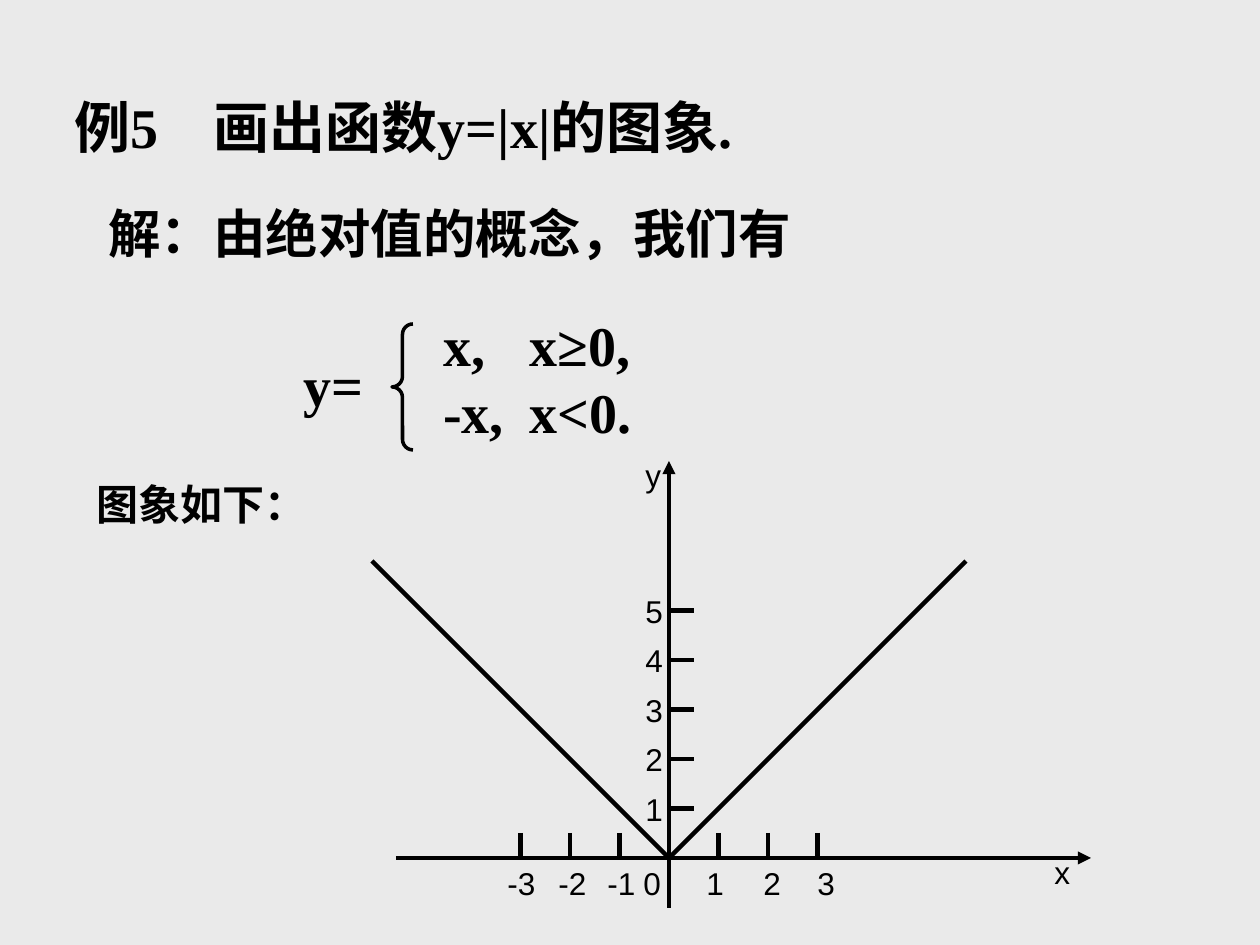
import dataclasses

import lxml.etree
import pptx
import pptx.dml.color
import pptx.enum.shapes
import pptx.enum.text
import pptx.oxml.ns
import pptx.util

PX = 914400 / 126
ORIGIN_X, ORIGIN_Y = 669, 858
ARM = 297
UNIT = ARM / 6
TICK = 25
LABEL_HEIGHT = 50
NUMBER_LEFTS = {-3: 495, -2: 546, -1: 595, 0: 631, 1: 694, 2: 751, 3: 805}


@dataclasses.dataclass(frozen=True)
class Theme:
    background: str = "EAEAEA"
    ink: str = "000000"
    serif: str = "Times New Roman"
    sans: str = "Arial"
    formula_size: int = 32
    solution_size: int = 30
    caption_size: int = 24
    label_size: int = 18
    brace_weight: int = 2
    axis_weight: float = 2.5


THEME = Theme()
ALIGN = pptx.enum.text.PP_ALIGN


def px(length):
    return pptx.util.Emu(round(length * PX))


def color(value):
    return pptx.dml.color.RGBColor.from_string(value)


def apply(target, values):
    for name, value in values.items():
        setattr(target, name, value)


def add_tab(paragraph, position):
    stops = lxml.etree.SubElement(
        paragraph._p.get_or_add_pPr(), pptx.oxml.ns.qn("a:tabLst"))
    lxml.etree.SubElement(
        stops, pptx.oxml.ns.qn("a:tab"), pos=str(px(position)), algn="l")


def write(shape, box, lines, size, font=THEME.serif, bold=True,
          align=ALIGN.LEFT, tab=None):
    apply(shape, dict(zip(("left", "top", "width", "height"), map(px, box))))
    frame = shape.text_frame
    apply(frame, {
        "word_wrap": tab is not None,
        "auto_size": pptx.enum.text.MSO_AUTO_SIZE.NONE,
        "vertical_anchor": pptx.enum.text.MSO_ANCHOR.TOP,
    })
    for index, line in enumerate(lines):
        paragraph = frame.add_paragraph() if index else frame.paragraphs[0]
        paragraph.alignment = align
        if tab is not None:
            add_tab(paragraph, tab)
        run = paragraph.add_run()
        run.text = line
        apply(run.font, {"name": font, "size": pptx.util.Pt(size), "bold": bold})
        run.font.color.rgb = color(THEME.ink)


def add_text(slide, box, lines, size, **format_values):
    shape = slide.shapes.add_textbox(*map(px, box))
    write(shape, box, lines, size, **format_values)


def add_label(slide, left, top, text):
    width = 53 if len(text) > 1 else 43
    add_text(slide, (left, top, width, LABEL_HEIGHT), [text],
             THEME.label_size, font=THEME.sans, bold=False)


def add_line(slide, start, end, arrow=False):
    connector = slide.shapes.add_connector(
        pptx.enum.shapes.MSO_CONNECTOR.STRAIGHT, *map(px, start + end))
    connector.line.color.rgb = color(THEME.ink)
    connector.line.width = pptx.util.Pt(THEME.axis_weight)
    if arrow:
        lxml.etree.SubElement(connector.line._get_or_add_ln(),
                              pptx.oxml.ns.qn("a:tailEnd"), type="triangle")
    lxml.etree.SubElement(connector._element.spPr,
                          pptx.oxml.ns.qn("a:effectLst"))


def add_brace(slide, box):
    brace = slide.shapes.add_shape(
        pptx.enum.shapes.MSO_SHAPE.LEFT_BRACE, *map(px, box))
    brace.adjustments[0] = 0.5
    brace.shadow.inherit = False
    brace.fill.background()
    brace.line.color.rgb = color(THEME.ink)
    brace.line.width = pptx.util.Pt(THEME.brace_weight)


def add_graph(slide):
    for number, left in NUMBER_LEFTS.items():
        if number:
            x = ORIGIN_X + number * UNIT
            add_line(slide, (x, ORIGIN_Y - TICK), (x, ORIGIN_Y))
        add_label(slide, left, ORIGIN_Y, str(number))
    for number in range(1, 6):
        y = ORIGIN_Y - number * UNIT
        add_line(slide, (ORIGIN_X, y), (ORIGIN_X + TICK, y))
        add_label(slide, 633, y - LABEL_HEIGHT / 2, str(number))
    add_line(slide, (396, ORIGIN_Y), (1091, ORIGIN_Y), arrow=True)
    add_line(slide, (ORIGIN_X, 908), (ORIGIN_X, 461), arrow=True)
    add_label(slide, 1042, 847, "x")
    add_label(slide, 633, 450, "y")
    for side in (1, -1):
        add_line(slide, (ORIGIN_X, ORIGIN_Y),
                 (ORIGIN_X + side * ARM, ORIGIN_Y - ARM))


def main():
    deck = pptx.Presentation()
    apply(deck, {"slide_width": px(1260), "slide_height": px(945)})
    slide = deck.slides.add_slide(deck.slide_layouts[5])
    slide.background.fill.solid()
    slide.background.fill.fore_color.rgb = color(THEME.background)

    write(slide.shapes.title, (62, 86, 735, 81), ["例5\t画出函数y=|x|的图象."],
          THEME.formula_size, tab=139)
    add_text(slide, (96, 195, 707, 76), ["解：由绝对值的概念，我们有"],
             THEME.solution_size)
    add_text(slide, (292, 344, 84, 81), ["y="], THEME.formula_size,
             align=ALIGN.CENTER)
    add_brace(slide, (392, 324, 21, 126))
    add_text(slide, (431, 304, 225, 147), ["x,\tx≥0,", "-x,\tx<0."],
             THEME.formula_size, tab=86)
    add_text(slide, (84, 472, 234, 63), ["图象如下："], THEME.caption_size)
    add_graph(slide)
    deck.save("out.pptx")


if __name__ == "__main__":
    main()
